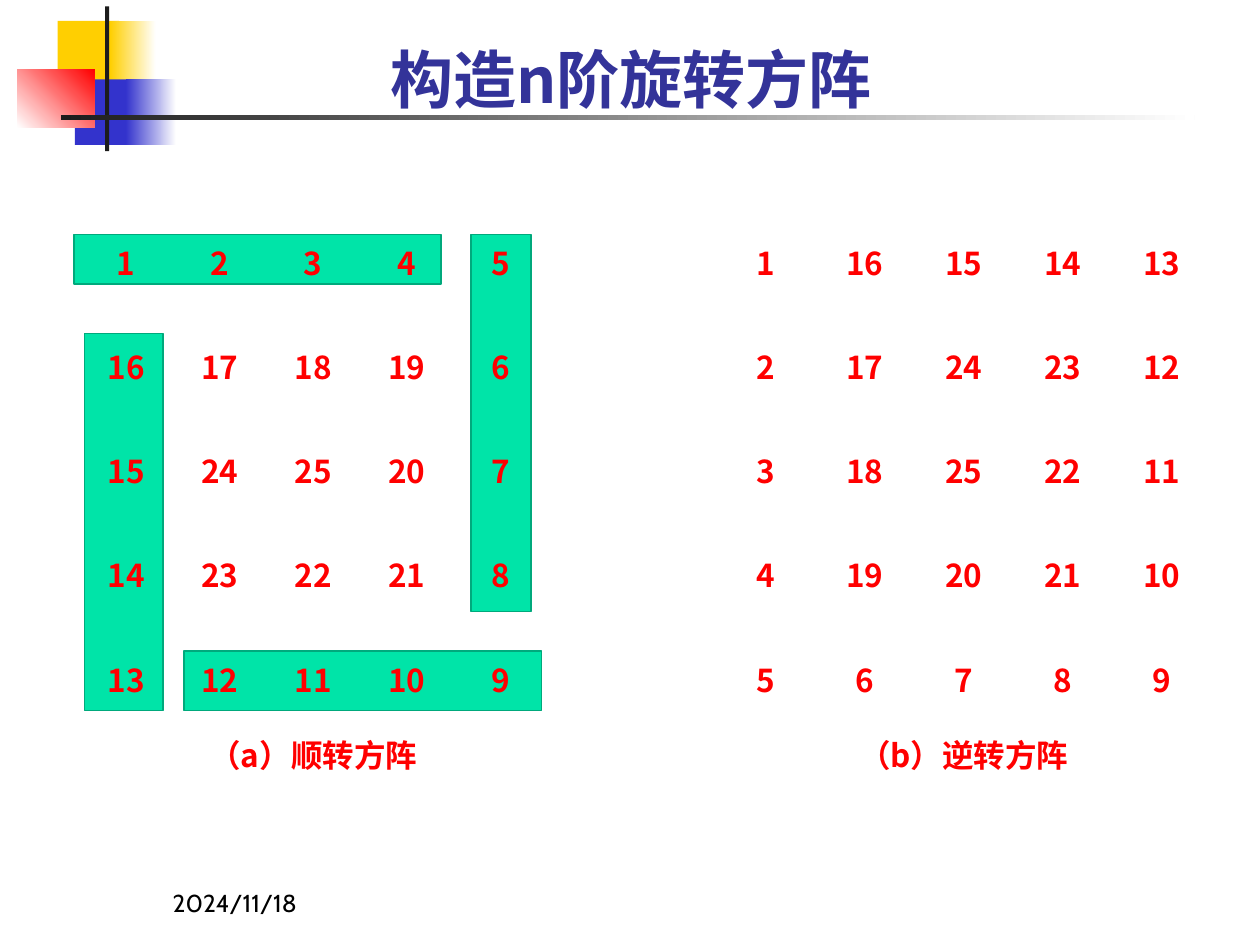
from pptx import Presentation
from pptx.dml.color import RGBColor
from pptx.enum.shapes import MSO_SHAPE
from pptx.enum.text import MSO_ANCHOR, PP_ALIGN
from pptx.oxml.ns import qn
from pptx.util import Pt

YELLOW = RGBColor(0xFF, 0xCF, 0x01)
BLUE = RGBColor(0x33, 0x33, 0xCC)
RED = RGBColor(0xFF, 0x00, 0x00)
WHITE = RGBColor(0xFF, 0xFF, 0xFF)
DARK = RGBColor(0x1C, 0x1C, 0x1C)
BLACK = RGBColor(0x00, 0x00, 0x00)
NAVY = RGBColor(0x33, 0x33, 0x99)
GREEN = RGBColor(0x00, 0xE4, 0xA8)
EDGE = RGBColor(0x00, 0xA9, 0x7C)
CJK = "Noto Sans CJK SC"
PLAIN = "{2D5ABB26-0587-4C30-8999-92F81FD0307C}"  # no style, no grid

TITLE = "构造n阶旋转方阵"
DATE = "2024/11/18"
CLOCK = [
    [1, 2, 3, 4, 5],
    [16, 17, 18, 19, 6],
    [15, 24, 25, 20, 7],
    [14, 23, 22, 21, 8],
    [13, 12, 11, 10, 9],
]
COUNTER = list(zip(*CLOCK))  # turning the other way is the transpose
LABELS = ["（a）顺转方阵", "（b）逆转方阵"]
SIZE = len(CLOCK)

# left, top, width, height, colours from start to end, angle
DECOR = [
    (33, 12, 35, 37.5, [YELLOW], 0),
    (63, 12, 26, 37.5, [YELLOW, WHITE], 0),
    (42.8, 45.3, 33, 37.5, [BLUE], 0),
    (72, 45.3, 28.8, 37.5, [BLUE, WHITE], 0),
    (10, 39.5, 44, 33.5, [WHITE, RED], 45),
    (60, 3.6, 2.4, 82.8, [DARK], 0),
    (34.7, 65.8, 648, 2.7, [DARK, WHITE], 0),
]
BANDS = [
    (48.4, 190.6, 45, 215.4),
    (105, 372, 204.4, 34),
    (42.2, 134, 209.8, 28.3),
    (269.2, 134, 34.2, 215.4),
]
COLS = [53.5] * SIZE + [96.5] + [56.6] * SIZE
ROWS = [59.6] * SIZE + [21.6]

deck = Presentation()
deck.slide_width, deck.slide_height = Pt(720), Pt(540)
slide = deck.slides.add_slide(deck.slide_layouts[6])


def add_box(left, top, width, height, hues, angle=0, edge=None):
    box = slide.shapes.add_shape(
        MSO_SHAPE.RECTANGLE, Pt(left), Pt(top), Pt(width), Pt(height))
    box.shadow.inherit = False
    if len(hues) == 1:
        box.fill.solid()
        box.fill.fore_color.rgb = hues[0]
    else:
        box.fill.gradient()
        box.fill.gradient_angle = angle
        for stop, hue in zip(box.fill.gradient_stops, hues):
            stop.color.rgb = hue
    if edge is None:
        box.line.fill.background()
    else:
        box.line.color.rgb = edge
        box.line.width = Pt(1)


def style(para, size, hue, face, bold=False):
    for run in para.runs:
        font = run.font
        font.size, font.name, font.bold = Pt(size), face, bold
        font.color.rgb = hue
        east = font._element.makeelement(qn("a:ea"), {"typeface": face})
        font._element.find(qn("a:latin")).addnext(east)


def add_text(left, top, width, height, text, align, *look):
    frame = slide.shapes.add_textbox(
        Pt(left), Pt(top), Pt(width), Pt(height)).text_frame
    frame.word_wrap = True
    frame.vertical_anchor = MSO_ANCHOR.BOTTOM
    frame.text = text
    para = frame.paragraphs[0]
    para.alignment = align
    style(para, *look)


def set_cell(cell, text):
    cell.text = str(text)
    para = cell.text_frame.paragraphs[0]
    para.alignment = PP_ALIGN.CENTER
    para._p.get_or_add_pPr().set("indent", str(Pt(21.6)))
    style(para, 18, RED, CJK, True)


for *place, hues, angle in DECOR:
    add_box(*place, hues, angle)
for band in BANDS:
    add_box(*band, [GREEN], edge=EDGE)

add_text(54, 10, 613, 60, TITLE, PP_ALIGN.CENTER, 36, NAVY, CJK, True)
add_text(91.6, 491.8, 149.8, 36, DATE, PP_ALIGN.LEFT, 14, BLACK, "Cabin")

table = slide.shapes.add_table(
    len(ROWS), len(COLS), Pt(34.5), Pt(119.5),
    Pt(sum(COLS)), Pt(sum(ROWS))).table
table.first_row = table.horz_banding = False
table._tbl.tblPr.find(qn("a:tableStyleId")).text = PLAIN
for col, width in zip(table.columns, COLS):
    col.width = Pt(width)
for row, height in zip(table.rows, ROWS):
    row.height = Pt(height)
for cell in table.iter_cells():
    cell.fill.background()
    cell.vertical_anchor = MSO_ANCHOR.MIDDLE
    cell.margin_left = cell.margin_right = Pt(5.2)
    cell.margin_top = cell.margin_bottom = 0

for start, square, label in zip((0, SIZE + 1), (CLOCK, COUNTER), LABELS):
    for r, line in enumerate(square):
        for c, number in enumerate(line):
            set_cell(table.cell(r, start + c), number)
    foot = table.cell(SIZE, start)
    foot.merge(table.cell(SIZE, start + SIZE - 1))
    set_cell(foot, label)

deck.save("out.pptx")
